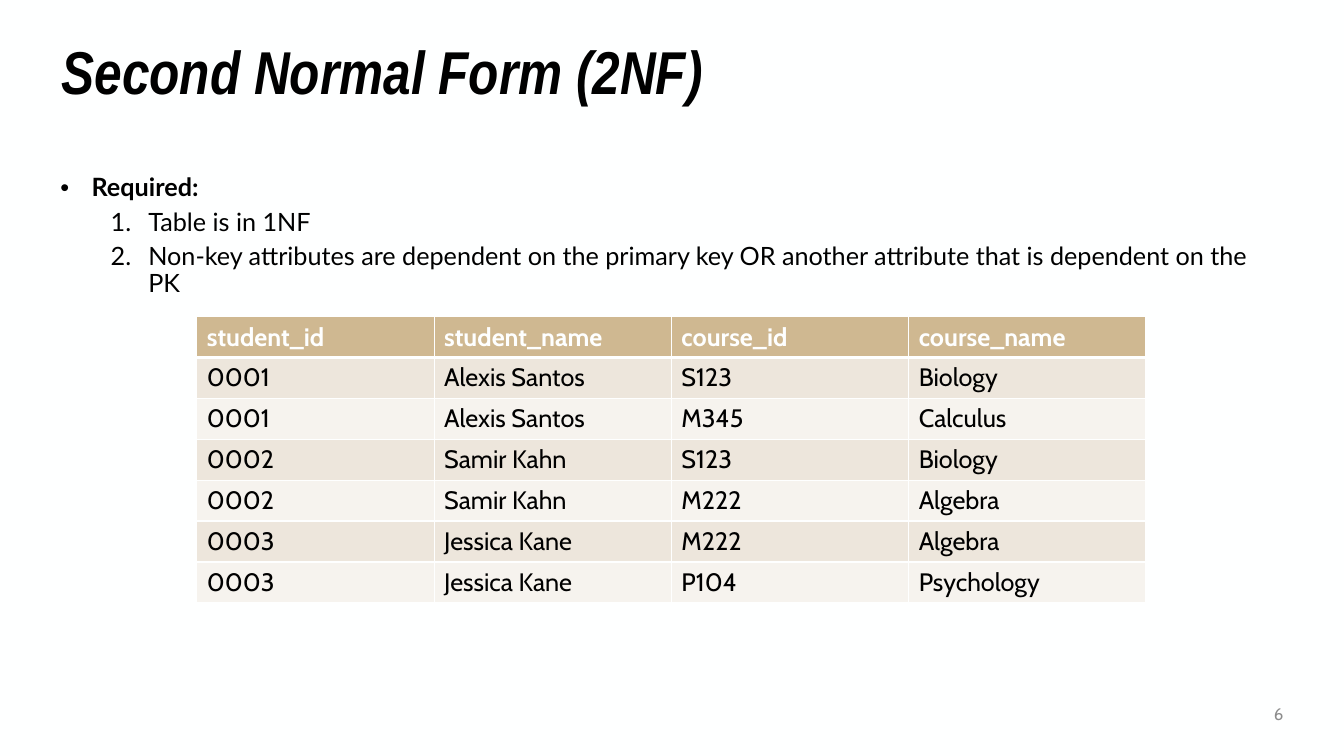
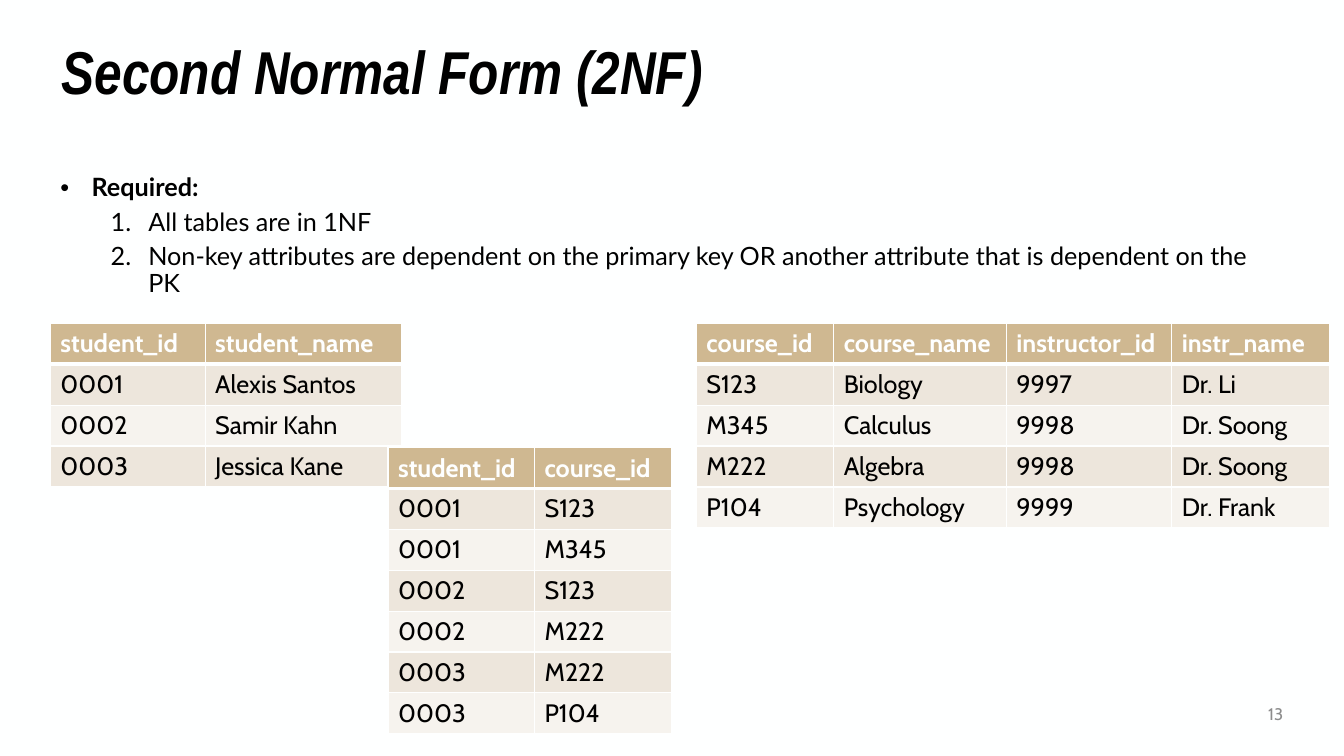
import pptx
import pptx.dml.color
import pptx.enum.text
import pptx.oxml
import pptx.oxml.ns
import pptx.util
from lxml import etree

Cm = pptx.util.Cm
Pt = pptx.util.Pt
ALIGN = pptx.enum.text.PP_ALIGN
ANCHOR = pptx.enum.text.MSO_ANCHOR

PAPER = "FEFFFF"
INK = "000000"
GREY = "8C8C8C"
TAN = "CFB891"
BANDS = ("EDE6DC", "F6F3EE")
TITLE_FONT, BODY_FONT, TABLE_FONT = "Arial Narrow", "Lato", "Cabin"
TEXT_SIZE = 18
ROW_HEIGHT = 1.03
TITLE = "Second Normal Form (2NF)"
DEPENDENCY = ("Non-key attributes are dependent on the primary key OR "
              "another attribute that is dependent on the PK")

ENROLMENT_ROWS = [
    ("student_id", "student_name", "course_id", "course_name"),
    ("0001", "Alexis Santos", "S123", "Biology"),
    ("0001", "Alexis Santos", "M345", "Calculus"),
    ("0002", "Samir Kahn", "S123", "Biology"),
    ("0002", "Samir Kahn", "M222", "Algebra"),
    ("0003", "Jessica Kane", "M222", "Algebra"),
    ("0003", "Jessica Kane", "P104", "Psychology"),
]
STUDENT_ROWS = [row[:2] for row in ENROLMENT_ROWS[:1] + ENROLMENT_ROWS[1::2]]
LINK_ROWS = [(row[0], row[2]) for row in ENROLMENT_ROWS]
COURSE_ROWS = [
    ("course_id", "course_name", "instructor_id", "instr_name"),
    ("S123", "Biology", "9997", "Dr. Li"),
    ("M345", "Calculus", "9998", "Dr. Soong"),
    ("M222", "Algebra", "9998", "Dr. Soong"),
    ("P104", "Psychology", "9999", "Dr. Frank"),
]


def rgb(value):
    return pptx.dml.color.RGBColor.from_string(value)


def style(p, font, size, color, bold=False, italic=False):
    for r in p.runs:
        r.font.name = font
        r.font.size = Pt(size)
        r.font.color.rgb = rgb(color)
        r.font.bold = bold
        r.font.italic = italic


def add_text_box(s, left, top, width, height, text, anchor=ANCHOR.TOP):
    box = s.shapes.add_textbox(Cm(left), Cm(top), Cm(width), Cm(height))
    tf = box.text_frame
    tf.word_wrap = True
    tf.vertical_anchor = anchor
    tf.text = text
    return tf


def add_title(s, text):
    p = add_text_box(s, 1.3, 1.07, 31.29, 1.63, text, ANCHOR.MIDDLE).paragraphs[0]
    p.line_spacing = 0.9
    style(p, TITLE_FONT, 43.2, INK, bold=True, italic=True)


def add_page_number(s, number):
    p = add_text_box(s, 29.54, 17.48, 3.05, 1.02, str(number), ANCHOR.MIDDLE).paragraphs[0]
    p.alignment = ALIGN.RIGHT
    style(p, TABLE_FONT, 12, GREY)


def set_marker(p, margin, hang, tag, **attributes):
    pPr = p._p.get_or_add_pPr()
    pPr.set("marL", str(Cm(margin)))
    pPr.set("indent", str(-Cm(hang)))
    font = etree.SubElement(pPr, pptx.oxml.ns.qn("a:buFont"))
    font.set("typeface", "Arial" if tag == "a:buChar" else "+mj-lt")
    marker = etree.SubElement(pPr, pptx.oxml.ns.qn(tag))
    for name, value in attributes.items():
        marker.set(name, value)


def add_requirements(s, items):
    tf = add_text_box(s, 1.27, 4.29, 31.29, 12.37, "\n".join(["Required:"] + items))
    for i, p in enumerate(tf.paragraphs):
        if i == 0:
            set_marker(p, 0.79, 0.79, "a:buChar", char="•")
        else:
            p.level = 1
            set_marker(p, 2.22, 0.95, "a:buAutoNum", type="arabicPeriod")
            p.space_before = Pt(5)
        p.line_spacing = 0.9
        style(p, BODY_FONT, TEXT_SIZE, INK, bold=i == 0)


def set_borders(cell, row):
    tcPr = cell._tc.get_or_add_tcPr()
    widths = {"L": 1, "R": 1, "T": 3 if row == 1 else 1, "B": 3 if row == 0 else 1}
    for side, width in widths.items():
        line = etree.SubElement(tcPr, pptx.oxml.ns.qn("a:ln" + side))
        line.set("w", str(Pt(width)))
        fill = etree.SubElement(line, pptx.oxml.ns.qn("a:solidFill"))
        etree.SubElement(fill, pptx.oxml.ns.qn("a:srgbClr")).set("val", PAPER)


def add_data_table(s, left, top, widths, rows):
    frame = s.shapes.add_table(len(rows), len(widths), Cm(left), Cm(top),
                               Cm(sum(widths)), Cm(ROW_HEIGHT * len(rows)))
    table = frame.table
    for column, width in zip(table.columns, widths):
        column.width = Cm(width)
    for i, row in enumerate(rows):
        table.rows[i].height = Cm(ROW_HEIGHT)
        header = i == 0
        for j, text in enumerate(row):
            cell = table.cell(i, j)
            set_borders(cell, i)
            cell.fill.solid()
            cell.fill.fore_color.rgb = rgb(TAN if header else BANDS[(i - 1) % 2])
            cell.text_frame.text = text
            style(cell.text_frame.paragraphs[0], TABLE_FONT, TEXT_SIZE,
                  PAPER if header else INK, bold=header)


def add_normal_form_slide(prs, number, first_rule, tables):
    s = prs.slides.add_slide(prs.slide_layouts[6])
    add_requirements(s, [first_rule, DEPENDENCY])
    add_title(s, TITLE)
    add_page_number(s, number)
    for table in tables:
        add_data_table(s, *table)


def main():
    prs = pptx.Presentation()
    prs.slide_width, prs.slide_height = Cm(33.87), Cm(19.05)
    background = prs.slide_master.background.fill
    background.solid()
    background.fore_color.rgb = rgb(PAPER)
    add_normal_form_slide(prs, 6, "Table is in 1NF", [
        (4.96, 7.98, [5.98] * 4, ENROLMENT_ROWS),
    ])
    add_normal_form_slide(prs, 13, "All tables are in 1NF", [
        (1.27, 8.15, [3.9, 4.96], STUDENT_ROWS),
        (17.55, 8.15, [3.46, 4.35, 4.17, 3.99], COURSE_ROWS),
        (9.78, 11.28, [3.69, 3.45], LINK_ROWS),
    ])
    prs.save("out.pptx")


if __name__ == "__main__":
    main()
